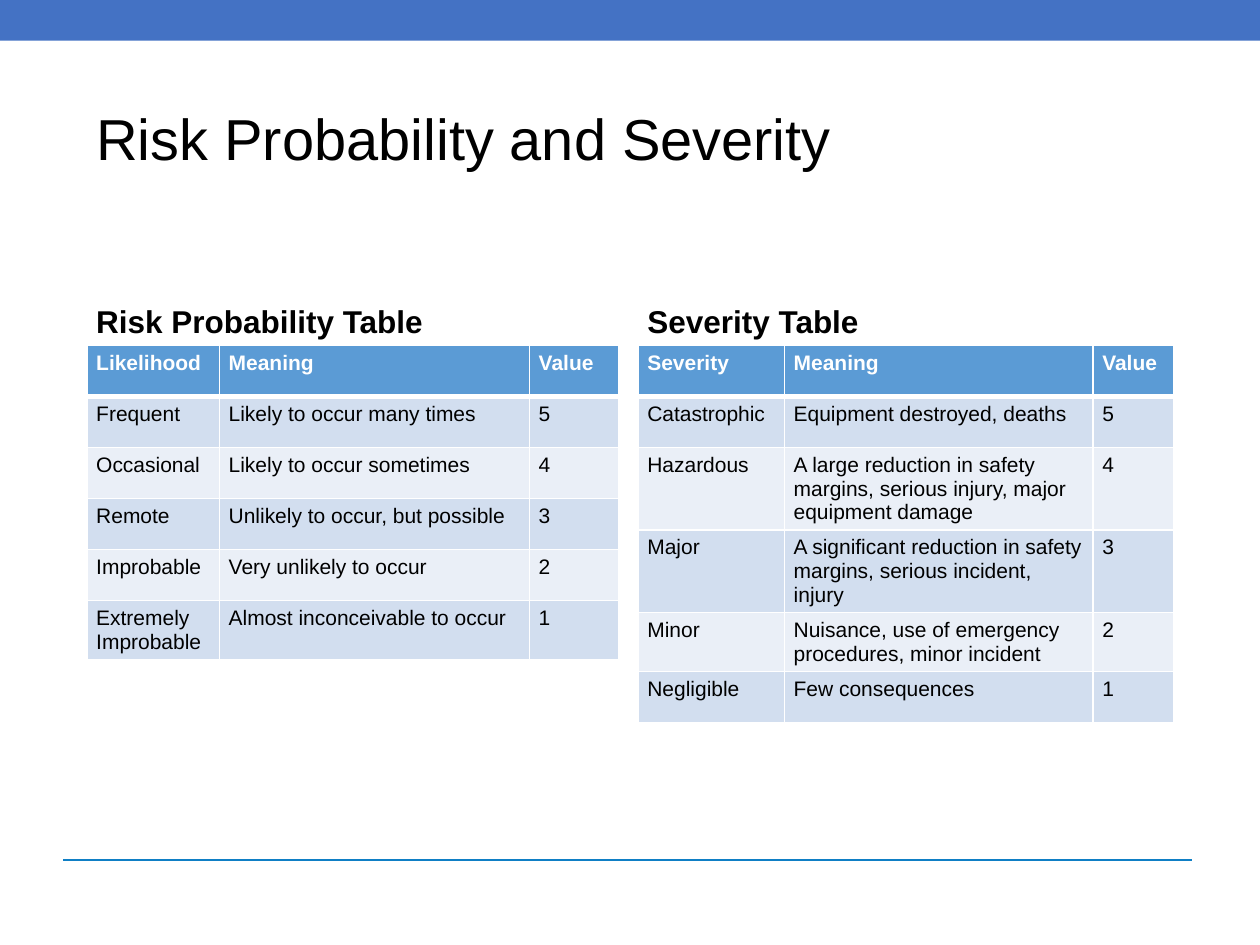
from lxml.etree import SubElement
from pptx import Presentation
from pptx.dml.color import RGBColor
from pptx.enum.shapes import MSO_CONNECTOR, MSO_SHAPE
from pptx.enum.text import MSO_ANCHOR, MSO_AUTO_SIZE, PP_ALIGN
from pptx.oxml.ns import qn
from pptx.util import Cm, Pt

FONT = "Arial"
BLACK = RGBColor(0x00, 0x00, 0x00)
WHITE = RGBColor(0xFF, 0xFF, 0xFF)
BAR_BLUE = RGBColor(0x44, 0x72, 0xC4)
RULE_BLUE = RGBColor(0x0F, 0x7F, 0xC5)
HEADER_BLUE = RGBColor(0x5B, 0x9B, 0xD5)
BANDS = (RGBColor(0xD2, 0xDE, 0xEF), RGBColor(0xEA, 0xEF, 0xF7))

SLIDE_WIDTH, SLIDE_HEIGHT = 25.4, 19.05
SIDE_INSET, CELL_INSET = Cm(0.19), Cm(0.12)
HEADING_HEIGHT, ROW_HEIGHT = 2.28, 1.03

PROBABILITY_ROWS = [
    ("Likelihood", "Meaning", "Value"),
    ("Frequent", "Likely to occur many times", "5"),
    ("Occasional", "Likely to occur sometimes", "4"),
    ("Remote", "Unlikely to occur, but possible", "3"),
    ("Improbable", "Very unlikely to occur", "2"),
    ("Extremely Improbable", "Almost inconceivable to occur", "1"),
]
SEVERITY_ROWS = [
    ("Severity", "Meaning", "Value"),
    ("Catastrophic", "Equipment destroyed, deaths", "5"),
    ("Hazardous", "A large reduction in safety margins, serious injury, "
                  "major equipment damage", "4"),
    ("Major", "A significant reduction in safety margins, serious incident, injury", "3"),
    ("Minor", "Nuisance, use of emergency procedures, minor incident", "2"),
    ("Negligible", "Few consequences", "1"),
]


def set_font(paragraph, size, color, bold=False):
    font = paragraph.font
    font.name, font.size, font.bold = FONT, Pt(size), bold
    font.color.rgb = color


def fill_placeholder(shape, box, text, size, anchor, bold=False, space_before=0):
    shape.left, shape.top, shape.width, shape.height = map(Cm, box)
    frame = shape.text_frame
    frame.text = text
    frame.word_wrap, frame.auto_size = True, MSO_AUTO_SIZE.NONE
    frame.vertical_anchor = anchor
    frame.margin_left = frame.margin_right = SIDE_INSET
    frame.margin_top = frame.margin_bottom = Cm(0.1)
    paragraph = frame.paragraphs[0]
    paragraph.alignment = PP_ALIGN.LEFT
    paragraph.line_spacing, paragraph.space_before = 0.9, Pt(space_before)
    set_font(paragraph, size, BLACK, bold)


def set_borders(cell, top, bottom):
    properties = cell._tc.get_or_add_tcPr()
    for side, width in (("L", 1), ("R", 1), ("T", top), ("B", bottom)):
        line = SubElement(properties, qn(f"a:ln{side}"), w=str(Pt(width)))
        fill = SubElement(line, qn("a:solidFill"))
        SubElement(fill, qn("a:srgbClr"), val=str(WHITE))


def format_cell(cell, text, row):
    is_header = row == 0
    cell.text = text
    cell.margin_left = cell.margin_right = SIDE_INSET
    cell.margin_top = cell.margin_bottom = CELL_INSET
    set_borders(cell, top=3 if row == 1 else 1, bottom=3 if is_header else 1)
    cell.fill.solid()
    cell.fill.fore_color.rgb = HEADER_BLUE if is_header else BANDS[(row - 1) % 2]
    set_font(cell.text_frame.paragraphs[0], 12, WHITE if is_header else BLACK, is_header)


def add_table_panel(slide, heading, left, top, title, rows, column_widths):
    """Place a heading with its table directly beneath it."""
    width = sum(column_widths)
    fill_placeholder(heading, (left, top, width, HEADING_HEIGHT), title, 18,
                     MSO_ANCHOR.BOTTOM, bold=True, space_before=7.5)
    table = slide.shapes.add_table(
        len(rows), len(column_widths), Cm(left), Cm(top + HEADING_HEIGHT),
        Cm(width), Cm(ROW_HEIGHT * len(rows))).table
    for column, column_width in zip(table.columns, column_widths):
        column.width = Cm(column_width)
    for row, texts in enumerate(rows):
        table.rows[row].height = Cm(ROW_HEIGHT)
        for column, text in enumerate(texts):
            format_cell(table.cell(row, column), text, row)


def add_frame(slide, width, bar_height, rule_left, rule_right, rule_top):
    # Band along the top edge
    bar = slide.shapes.add_shape(MSO_SHAPE.RECTANGLE, 0, 0, Cm(width), Cm(bar_height))
    bar.shadow.inherit = False
    bar.fill.solid()
    bar.fill.fore_color.rgb = BAR_BLUE
    bar.line.fill.background()
    # Rule above the footer
    rule = slide.shapes.add_connector(MSO_CONNECTOR.STRAIGHT, Cm(rule_left), Cm(rule_top),
                                      Cm(rule_right), Cm(rule_top))
    rule.line.color.rgb, rule.line.width = RULE_BLUE, Pt(1.5)
    SubElement(rule._element.spPr, qn("a:effectLst"))


def main():
    presentation = Presentation()
    presentation.slide_width, presentation.slide_height = Cm(SLIDE_WIDTH), Cm(SLIDE_HEIGHT)
    slide = presentation.slides.add_slide(presentation.slide_layouts.get_by_name("Comparison"))
    placeholders = {shape.placeholder_format.idx: shape for shape in slide.placeholders}

    add_frame(slide, SLIDE_WIDTH, 0.82, 1.27, 24.03, 17.34)
    fill_placeholder(slide.shapes.title, (1.75, 1.01, 21.9, 3.68),
                     "Risk Probability and Severity", 33, MSO_ANCHOR.MIDDLE)

    # Two tables side by side
    add_table_panel(slide, placeholders[1], 1.75, 4.68, "Risk Probability Table",
                    PROBABILITY_ROWS, (2.67, 6.25, 1.81))
    add_table_panel(slide, placeholders[3], 12.86, 4.68, "Severity Table",
                    SEVERITY_ROWS, (2.95, 6.22, 1.63))

    # The tables stand in for the layout's content placeholders
    for index in (2, 4):
        element = placeholders[index]._element
        element.getparent().remove(element)

    presentation.save("out.pptx")


if __name__ == "__main__":
    main()
